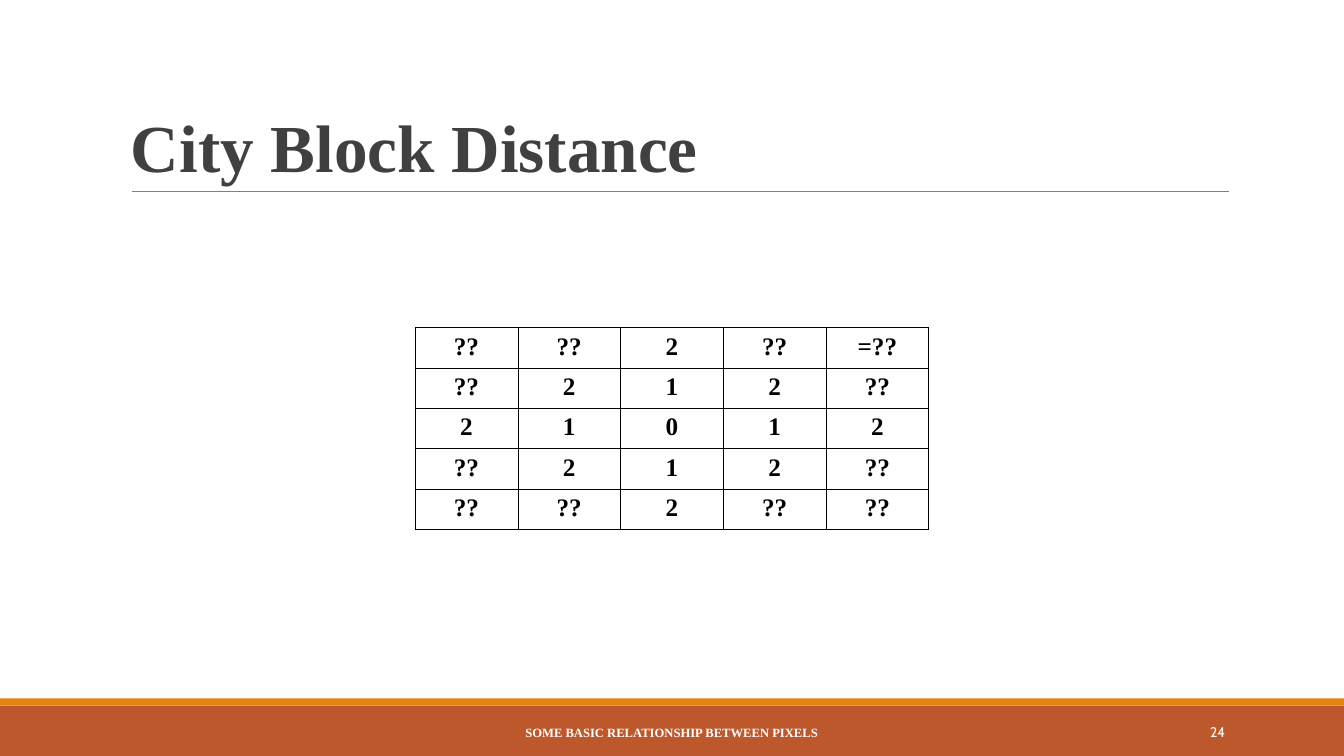
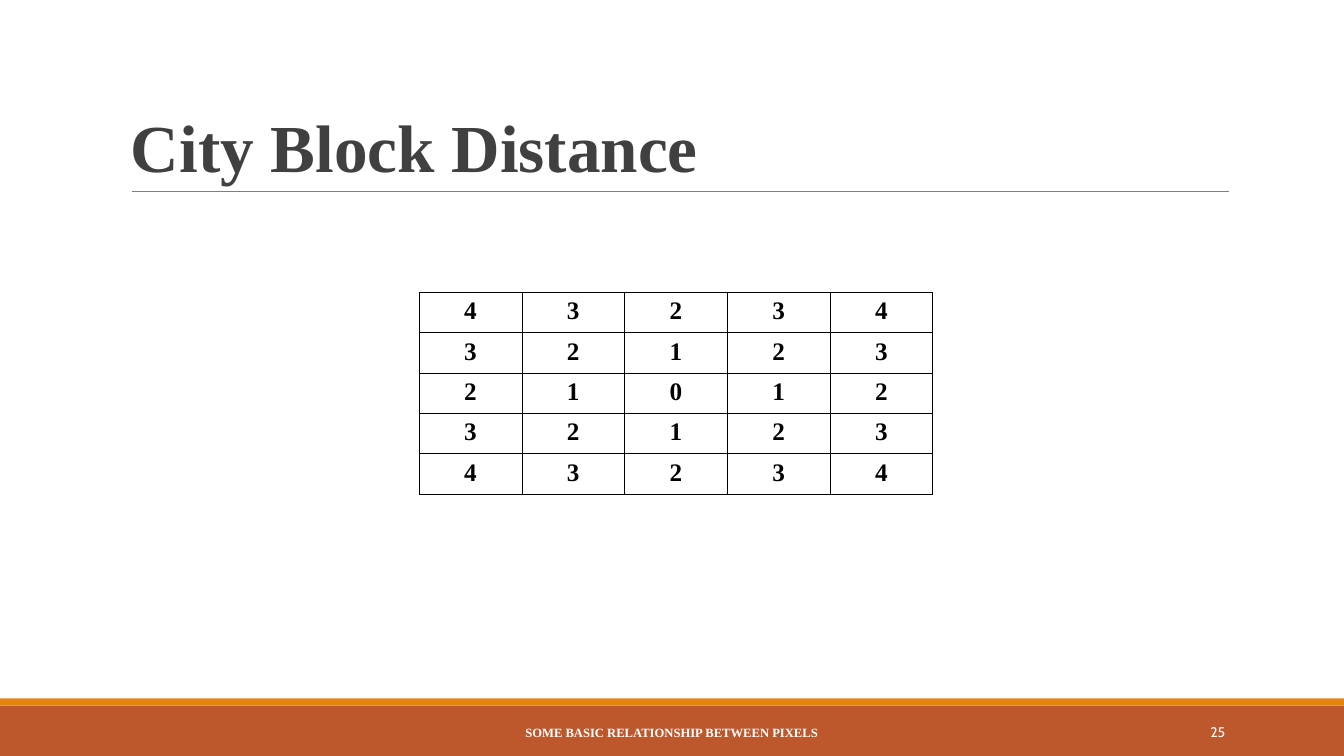
import pptx
import pptx.util
import pptx.dml.color
import pptx.enum.shapes
import pptx.enum.text
from lxml import etree
from pptx.oxml.ns import qn

SLIDE_W, SLIDE_H = 13.34, 7.5
TITLE_ONLY = 5
FIRST_NUMBER = 24
SERIF, SANS = "Times New Roman", "Cabin"
WHITE, BLACK, GREY = "FFFFFF", "000000", "7F7F7F"
TITLE_COLOR, BAND, STRIPE = "404040", "BD582C", "E48312"
BAND_TOP, STRIPE_H = 7, 0.07
GRID_SIZE, CELL_W, CELL_H = 5, 1.02, 0.4
BORDER_PT = 0.45

TITLE = "City Block Distance"
FOOTER = "SOME BASIC RELATIONSHIP BETWEEN PIXELS"

ALIGN = pptx.enum.text.PP_ALIGN
ANCHOR = pptx.enum.text.MSO_ANCHOR


def inches(*values):
    return [pptx.util.Inches(v) for v in values]


def rgb(color):
    return pptx.dml.color.RGBColor.from_string(color)


def write(tf, text, size, color, font=SERIF, bold=True, align=ALIGN.CENTER):
    tf.text = text
    p = tf.paragraphs[0]
    p.alignment = align
    f = p.runs[0].font
    f.size, f.name, f.bold = pptx.util.Pt(size), font, bold
    f.color.rgb = rgb(color)
    return p


def add_band(slide, top, height, color):
    sp = slide.shapes.add_shape(pptx.enum.shapes.MSO_SHAPE.RECTANGLE,
                                *inches(0, top, SLIDE_W, height))
    sp.shadow.inherit = False
    sp.fill.solid()
    sp.fill.fore_color.rgb = rgb(color)
    sp.line.fill.background()


def add_rule(slide, left, right, y):
    line = slide.shapes.add_connector(pptx.enum.shapes.MSO_CONNECTOR.STRAIGHT,
                                      *inches(left, y, right, y))
    line.line.color.rgb = rgb(GREY)
    line.line.width = pptx.util.Pt(0.5)
    etree.SubElement(line.element.spPr, qn("a:effectLst"))


def add_label(slide, box, text, size, **style):
    tf = slide.shapes.add_textbox(*inches(*box)).text_frame
    tf.word_wrap = True
    tf.vertical_anchor = ANCHOR.MIDDLE
    write(tf, text, size, WHITE, **style)


def set_title(slide, text):
    sp = slide.shapes.title
    sp.left, sp.top, sp.width, sp.height = inches(1.2, 0.31, 11, 1.59)
    tf = sp.text_frame
    tf.auto_size = pptx.enum.text.MSO_AUTO_SIZE.NONE
    tf.vertical_anchor = ANCHOR.BOTTOM
    p = write(tf, text, 48, TITLE_COLOR, align=ALIGN.LEFT)
    p.line_spacing = 0.85


def add_base_slide(prs, number):
    """Add a slide with the title, rule, bands and footer that all slides share."""
    slide = prs.slides.add_slide(prs.slide_layouts[TITLE_ONLY])
    add_band(slide, BAND_TOP, SLIDE_H - BAND_TOP, BAND)
    add_band(slide, BAND_TOP - STRIPE_H, STRIPE_H, STRIPE)
    add_rule(slide, 1.31, 12.2, 1.9)
    set_title(slide, TITLE)
    add_label(slide, (4.03, 7.07, 5.27, 0.4), FOOTER, 9)
    add_label(slide, (10.83, 7.06, 1.43, 0.4), str(number), 10,
              font=SANS, bold=False, align=ALIGN.RIGHT)
    return slide


def set_borders(cell):
    tc_pr = cell._tc.get_or_add_tcPr()
    for side in ("a:lnL", "a:lnR", "a:lnT", "a:lnB"):
        ln = etree.SubElement(tc_pr, qn(side), w=str(pptx.util.Pt(BORDER_PT)))
        fill = etree.SubElement(ln, qn("a:solidFill"))
        etree.SubElement(fill, qn("a:srgbClr"), val=BLACK)


def add_grid(slide, left, top, rows):
    width, height = CELL_W * len(rows[0]), CELL_H * len(rows)
    table = slide.shapes.add_table(len(rows), len(rows[0]),
                                   *inches(left, top, width, height)).table
    table.first_row = table.horz_banding = False
    for r, row in enumerate(rows):
        for c, text in enumerate(row):
            cell = table.cell(r, c)
            set_borders(cell)
            cell.fill.solid()
            cell.fill.fore_color.rgb = rgb(WHITE)
            write(cell.text_frame, text, 18, BLACK)


def city_block_distances():
    """Return each cell's city block distance from the centre, as text."""
    mid = GRID_SIZE // 2
    return [[str(abs(r - mid) + abs(c - mid)) for c in range(GRID_SIZE)]
            for r in range(GRID_SIZE)]


def main():
    prs = pptx.Presentation()
    prs.slide_width, prs.slide_height = inches(SLIDE_W, SLIDE_H)

    answer = city_block_distances()
    question = [[d if int(d) <= 2 else "??" for d in row] for row in answer]
    question[0][-1] = "=??"

    grids = [(4.12, 3.25, question), (4.16, 2.9, answer)]
    for number, (left, top, rows) in enumerate(grids, FIRST_NUMBER):
        add_grid(add_base_slide(prs, number), left, top, rows)

    prs.save("out.pptx")


if __name__ == "__main__":
    main()
